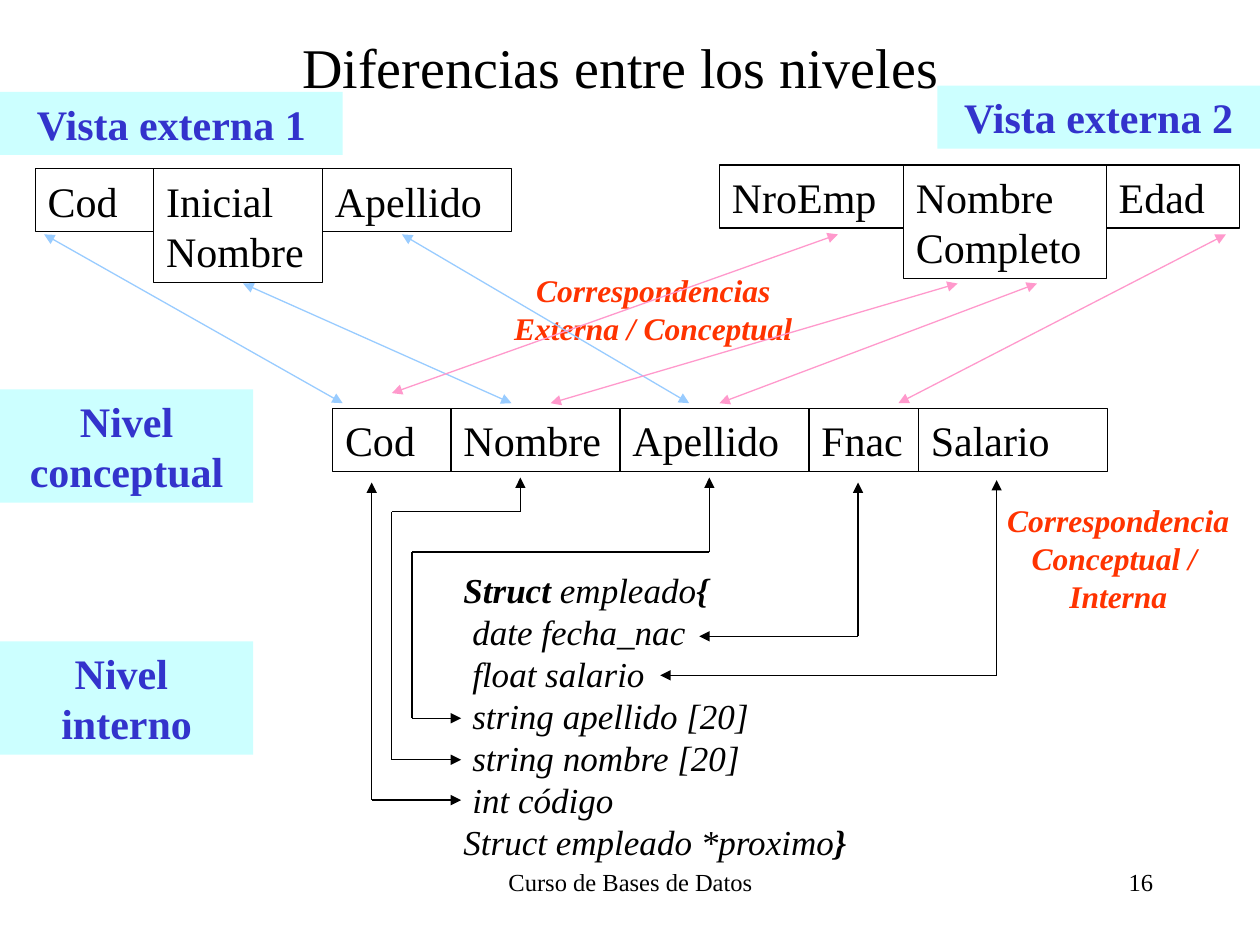
from dataclasses import dataclass
from lxml.etree import SubElement
from pptx import Presentation
from pptx.dml.color import RGBColor
from pptx.enum.shapes import MSO_CONNECTOR, MSO_SHAPE
from pptx.enum.text import MSO_ANCHOR, MSO_AUTO_SIZE, PP_ALIGN
from pptx.oxml.ns import qn
from pptx.util import Inches, Pt

RECT, STRAIGHT = MSO_SHAPE.RECTANGLE, MSO_CONNECTOR.STRAIGHT
TOP, FIXED = MSO_ANCHOR.TOP, MSO_AUTO_SIZE.NONE
LEFT, MID, RIGHT = PP_ALIGN.LEFT, PP_ALIGN.CENTER, PP_ALIGN.RIGHT


@dataclass(frozen=True)
class Theme:
    font: str = "Times New Roman"
    ink: str = "000000"
    paper: str = "FFFFFF"
    band: str = "CCFFFF"
    level: str = "3333CC"
    note: str = "FF3300"
    blue: str = "99CCFF"
    pink: str = "FF99CC"
    head: int = 32
    body: int = 24
    code: int = 20
    small: int = 18
    foot: int = 14
    line: float = 0.75


T = Theme()

TITLE = "Diferencias entre los niveles"
LEVELS = [
    ("Vista externa 1", (0, 0.73, 2.72, 0.5)),
    ("Vista externa 2", (7.44, 0.68, 2.56, 0.5)),
    ("Nivel conceptual", (0, 3.09, 2.01, 0.9)),
    ("Nivel \ninterno", (0, 5.09, 2.01, 0.9)),
]
NOTES = [
    ("Correspondencia\nConceptual / \nInterna", (7.87, 3.93, 2.01, 1), True),
    ("Correspondencias\nExterna / Conceptual", (3.98, 2.1, 2.41, 0.7), False),
]
FOOT = [
    ("Curso de Bases de Datos", (3.42, 6.83, 3.17, 0.5), MID),
    ("16", (7.17, 6.83, 2.08, 0.5), RIGHT),
]
CORE = (2.64, 3.24, [("Cod", 0.94), ("Nombre", 1.34), ("Apellido", 1.5),
                     ("Fnac", 0.87), ("Salario", 1.5)])
VIEWS = [
    (5.71, 1.31, [("NroEmp", 1.46), ("Nombre Completo", 1.61), ("Edad", 1.06)]),
    (0.28, 1.34, [("Cod", 0.94), ("Inicial Nombre", 1.34), ("Apellido", 1.5)]),
]
CODE = [
    (0, [("Struct", True), (" empleado", False), ("{", True)]),
    (1, [("date fecha_nac", False)]),
    (1, [("float salario", False)]),
    (1, [("string apellido [20]", False)]),
    (1, [("string nombre [20]", False)]),
    (1, [("int código", False)]),
    (0, [("Struct empleado *proximo", False), ("}", True)]),
]
LINKS = [
    (T.blue, [(0.35, 1.86), (2.72, 3.2)]),
    (T.blue, [(1.93, 2.25), (4.06, 3.2)]),
    (T.blue, [(3.19, 1.86), (5.47, 3.2)]),
    (T.pink, [(6.65, 1.86), (3.11, 3.12)]),
    (T.pink, [(7.6, 2.25), (4.37, 3.2)]),
    (T.pink, [(9.73, 1.86), (7.13, 3.2)]),
    (T.pink, [(8.23, 2.25), (5.71, 3.2)]),
]
WIRES = [
    [(2.95, 3.83), (2.95, 6.35), (3.66, 6.35)],
    [(4.13, 3.79), (4.13, 4.06), (3.11, 4.06), (3.11, 6.03), (3.66, 6.03)],
    [(5.63, 3.79), (5.63, 4.38), (3.27, 4.38), (3.27, 5.7), (3.66, 5.7)],
    [(6.81, 3.83), (6.81, 5.05), (5.55, 5.05)],
    [(7.91, 3.81), (7.91, 5.36), (5.24, 5.36)],
]


def rgb(code):
    return RGBColor.from_string(code)


def style(run, size, color, bold=False, slant=False):
    font = run.font
    font.name, font.size = T.font, Pt(size)
    font.bold, font.italic = bold, slant
    font.color.rgb = rgb(color)


def write(shape, text, size, color, align=MID, bold=False, slant=False, wrap=True):
    frame = shape.text_frame
    frame.text = text
    frame.word_wrap, frame.auto_size = wrap, FIXED
    frame.vertical_anchor = TOP
    for para in frame.paragraphs:
        para.alignment = align
        for run in para.runs:
            style(run, size, color, bold, slant)


def label(slide, area):
    return slide.shapes.add_textbox(*map(Inches, area))


def box(slide, area, fill=None, line=None):
    shape = slide.shapes.add_shape(RECT, *map(Inches, area))
    shape.shadow.inherit = False
    if fill:
        shape.fill.solid()
        shape.fill.fore_color.rgb = rgb(fill)
    else:
        shape.fill.background()
    if line:
        shape.line.color.rgb = rgb(line)
        shape.line.width = Pt(T.line)
    else:
        shape.line.fill.background()
    return shape


def record(slide, left, top, cells):
    for text, width in cells:
        high = 0.9 if " " in text else 0.5
        cell = box(slide, (left, top, width, high), line=T.ink)
        write(cell, text, T.body, T.ink, LEFT)
        left += width


def route(slide, color, points):
    last = len(points) - 2
    for i, (start, end) in enumerate(zip(points, points[1:])):
        wire = slide.shapes.add_connector(STRAIGHT, *map(Inches, start + end))
        wire.line.color.rgb = rgb(color)
        wire.line.width = Pt(T.line)
        props = wire._element.spPr
        stroke = props.find(qn("a:ln"))
        for tag, shown in (("a:headEnd", i == 0), ("a:tailEnd", i == last)):
            if shown:
                SubElement(stroke, qn(tag), type="triangle")
        SubElement(props, qn("a:effectLst"))


def listing(slide):
    frame = label(slide, (3.58, 4.46, 3.59, 2.44)).text_frame
    frame.word_wrap = True
    for i, (depth, parts) in enumerate(CODE):
        para = frame.add_paragraph() if i else frame.paragraphs[0]
        para._p.get_or_add_pPr().set("marL", str(Inches(0.07 * depth)))
        for text, bold in parts:
            run = para.add_run()
            run.text = text
            style(run, T.code, T.ink, bold, True)


def main():
    deck = Presentation()
    deck.slide_width, deck.slide_height = Inches(10), Inches(7.5)
    slide = deck.slides.add_slide(deck.slide_layouts[5])
    title = slide.shapes.title
    title.left, title.top, title.width, title.height = map(
        Inches, (1.3, 0.21, 7.25, 0.64))
    title.fill.solid()
    title.fill.fore_color.rgb = rgb(T.paper)
    write(title, TITLE, T.head, T.ink)
    for text, area, align in FOOT:
        write(label(slide, area), text, T.foot, T.ink, align)
    for text, area in LEVELS:
        write(box(slide, area, fill=T.band), text, T.body, T.level, bold=True)
    for text, area, wrap in NOTES:
        write(label(slide, area), text, T.small, T.note,
              bold=True, slant=True, wrap=wrap)
    for color, points in LINKS:
        route(slide, color, points)
    record(slide, *CORE)
    listing(slide)
    for points in WIRES:
        route(slide, T.ink, points)
    for view in VIEWS:
        record(slide, *view)
    deck.save("out.pptx")


if __name__ == "__main__":
    main()
